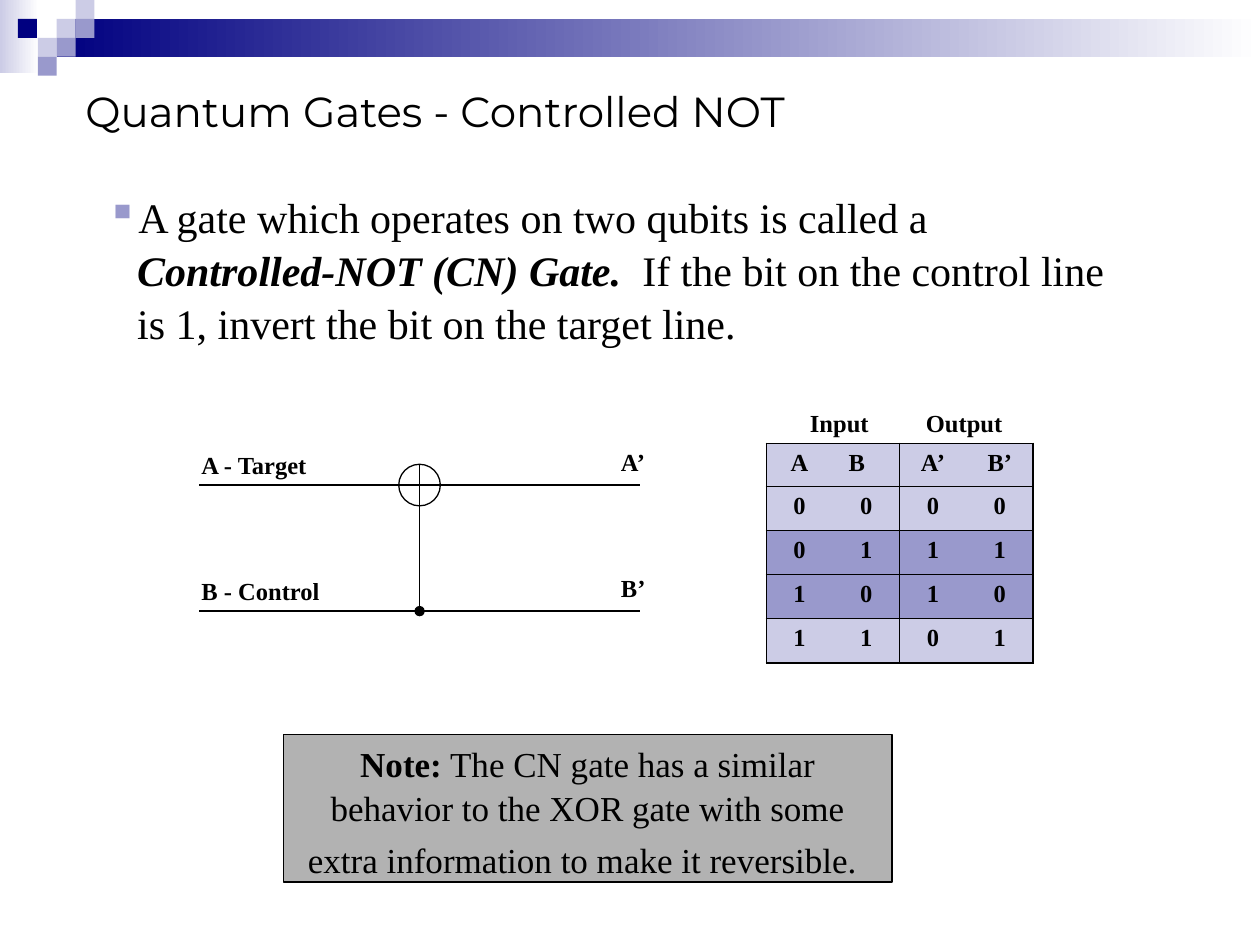
from lxml.etree import SubElement as Sub
from pptx import Presentation
from pptx.dml.color import RGBColor
from pptx.enum.shapes import MSO_CONNECTOR as Conn, MSO_SHAPE as Geo
from pptx.enum.text import MSO_ANCHOR as Anchor, PP_ALIGN as Align
from pptx.oxml.ns import qn
from pptx.util import Inches, Pt

COLORS = {"ink": "000000", "navy": "000080", "mid": "9999CC",
          "pale": "CCCCE6", "gray": "B2B2B2", "white": "FFFFFF"}
SERIF = "Times New Roman"
UNIT = 0.15

ROWS = [("A", "B", "A’", "B’"),
        ("0", "0", "0", "0"),
        ("0", "1", "1", "1"),
        ("1", "0", "1", "0"),
        ("1", "1", "0", "1")]


def rgb(name):
    return RGBColor.from_string(COLORS[name])


def add_run(para, text, size, bold=False, italic=False, face=SERIF):
    run = para.add_run()
    run.text = text
    font = run.font
    font.name, font.size = face, Pt(size)
    font.bold, font.italic = bold, italic
    font.color.rgb = rgb("ink")


def add_text(slide, x, y, w, h, wrap=True):
    """Add an empty text box and return its frame."""
    frame = slide.shapes.add_textbox(
        Inches(x), Inches(y), Inches(w), Inches(h)).text_frame
    frame.word_wrap = wrap
    return frame


def add_label(slide, text, x, y, w):
    frame = add_text(slide, x, y, w, 0.34, wrap=False)
    add_run(frame.paragraphs[0], text, 14, bold=True)


def add_shape(slide, geo, x, y, w, h, fill=None, line=None):
    shape = slide.shapes.add_shape(
        geo, Inches(x), Inches(y), Inches(w), Inches(h))
    shape.shadow.inherit = False
    if fill:
        shape.fill.solid()
        shape.fill.fore_color.rgb = rgb(fill)
    else:
        shape.fill.background()
    if line:
        shape.line.color.rgb = rgb(line)
        shape.line.width = Pt(0.75)
    else:
        shape.line.fill.background()
    return shape


def add_fade(slide, x, y, w, h, color):
    """Add a bar that fades to white on its right."""
    fill = add_shape(slide, Geo.RECTANGLE, x, y, w, h).fill
    fill.gradient()
    fill.gradient_angle = 180
    for stop, name in zip(fill.gradient_stops, ("white", color)):
        stop.color.rgb = rgb(name)


def add_wire(slide, x1, y1, x2, y2, dot=False):
    wire = slide.shapes.add_connector(
        Conn.STRAIGHT, Inches(x1), Inches(y1), Inches(x2), Inches(y2))
    wire.line.color.rgb = rgb("ink")
    wire.line.width = Pt(0.75)
    if dot:
        Sub(wire.line._get_or_add_ln(), qn("a:tailEnd"), type="oval")
    Sub(wire._element.spPr, qn("a:effectLst"))


def add_banner(slide):
    add_fade(slide, 0, 0, 0.31, 0.58, "pale")
    add_fade(slide, 0.45, UNIT, 9.55, 2 * UNIT, "navy")
    tiles = [(3, 1, "pale"), (4, 0, "pale"), (4, 1, "mid"), (2, 2, "pale"),
             (0.95, 1, "navy"), (3, 2, "mid"), (2, 3, "mid")]
    for col, row, name in tiles:
        add_shape(slide, Geo.RECTANGLE, col * UNIT, row * UNIT,
                  UNIT, UNIT, name)


def add_bullet(para):
    props = para._p.get_or_add_pPr()
    props.set("marL", str(Inches(0.24)))
    props.set("indent", str(-Inches(0.24)))
    tint = Sub(props, qn("a:buClr"))
    Sub(tint, qn("a:srgbClr"), val=COLORS["mid"])
    Sub(props, qn("a:buChar"), char="▪")


def add_gate(slide):
    """Draw the two wires with the target ring and control dot."""
    left, right, mid, ring = 1.58, 5.08, 3.33, 0.33
    top, low = 3.85, 4.85
    half = ring / 2
    add_shape(slide, Geo.FLOWCHART_OR, mid - half, top - half, ring, ring,
              line="ink")
    add_wire(slide, left, top, mid - half, top)
    add_wire(slide, mid + half, top, right, top)
    add_wire(slide, left, low, right, low)
    add_wire(slide, mid, top + half, mid, low, dot=True)
    for y, start, end in ((top, "A - Target", "A’"),
                          (low, "B - Control", "B’")):
        add_label(slide, start, 1.5, y - 0.33, 1.25)
        add_label(slide, end, 4.83, y - 0.35, 0.52)


def set_edges(cell, widths):
    """Set left, right, top and bottom borders; 0 means none."""
    props = cell._tc.get_or_add_tcPr()
    for side, width in zip("LRTB", widths):
        edge = Sub(props, qn(f"a:ln{side}"), w=str(Pt(width)))
        if width:
            fill = Sub(edge, qn("a:solidFill"))
            Sub(fill, qn("a:srgbClr"), val=COLORS["ink"])
        else:
            Sub(edge, qn("a:noFill"))


def add_truth(slide):
    thin, thick = 0.45, 1.08
    last = len(ROWS) - 1
    table = slide.shapes.add_table(
        len(ROWS), 4, Inches(6.08), Inches(3.52),
        Inches(2.11), Inches(1.73)).table
    for r, row in enumerate(ROWS):
        table.rows[r].height = Inches(0.35 if r else 0.34)
        for c, text in enumerate(row):
            cell = table.cell(r, c)
            set_edges(cell, (0 if c % 2 else thin,
                             (0, thin, 0, thick)[c],
                             thin if r else thick,
                             thick if r == last else thin))
            cell.fill.solid()
            cell.fill.fore_color.rgb = rgb("mid" if r in (2, 3) else "pale")
            para = cell.text_frame.paragraphs[0]
            para.alignment = Align.CENTER
            add_run(para, text, 14, bold=True)
    for col in table.columns:
        col.width = Inches(0.53)
    table.cell(0, 1).margin_right = Inches(0.25)
    add_label(slide, "Input", 6.33, 3.19, 0.73)
    add_label(slide, "Output", 7.25, 3.19, 0.92)


def add_note(slide):
    box = add_shape(slide, Geo.RECTANGLE, 2.25, 5.83, 4.83, 1.17,
                    "gray", "ink")
    frame = box.text_frame
    frame.word_wrap = True
    frame.vertical_anchor = Anchor.TOP
    para = frame.paragraphs[0]
    para.alignment = Align.CENTER
    para.line_spacing = 1.05
    add_run(para, "Note:", 20, bold=True)
    add_run(para, " The CN gate has a similar behavior to the XOR gate with "
            "some extra information to make it reversible.", 20)
    add_run(para, " ", 24, bold=True, italic=True)


def main():
    deck = Presentation()
    deck.slide_width, deck.slide_height = Inches(10), Inches(7.5)
    slide = deck.slides.add_slide(deck.slide_layouts[6])
    add_banner(slide)

    title = add_text(slide, 0.58, 0.67, 9, 0.42)
    title.vertical_anchor = Anchor.MIDDLE
    add_run(title.paragraphs[0], "Quantum Gates - Controlled NOT", 24,
            face="Montserrat")

    para = add_text(slide, 0.75, 1.45, 8.28, 1.3).paragraphs[0]
    para.line_spacing = 1.05
    add_bullet(para)
    add_run(para, "A gate which operates on two qubits is called a ", 24)
    add_run(para, "Controlled-NOT (CN) Gate.  ", 24, bold=True, italic=True)
    add_run(para, "If the bit on the control line is 1, invert the bit "
            "on the target line.", 24)

    add_gate(slide)
    add_truth(slide)
    add_note(slide)
    deck.save("out.pptx")


if __name__ == "__main__":
    main()
